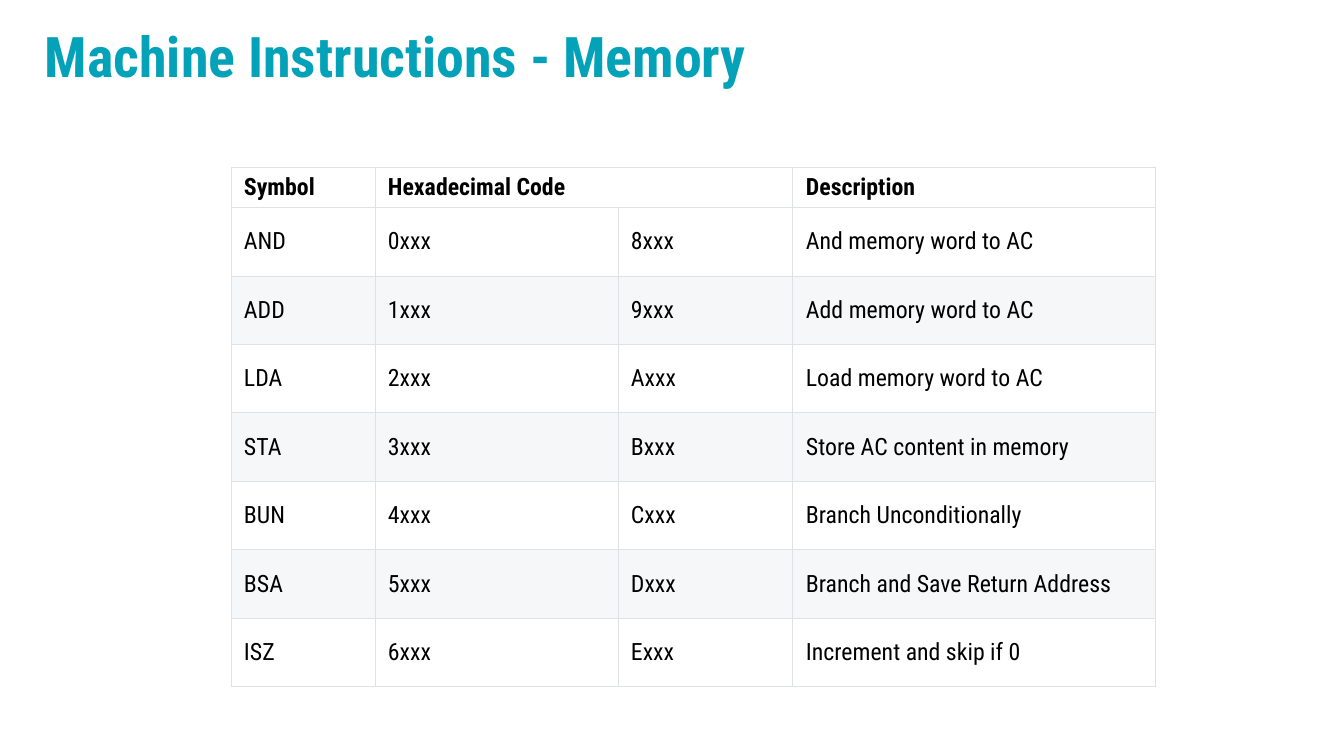
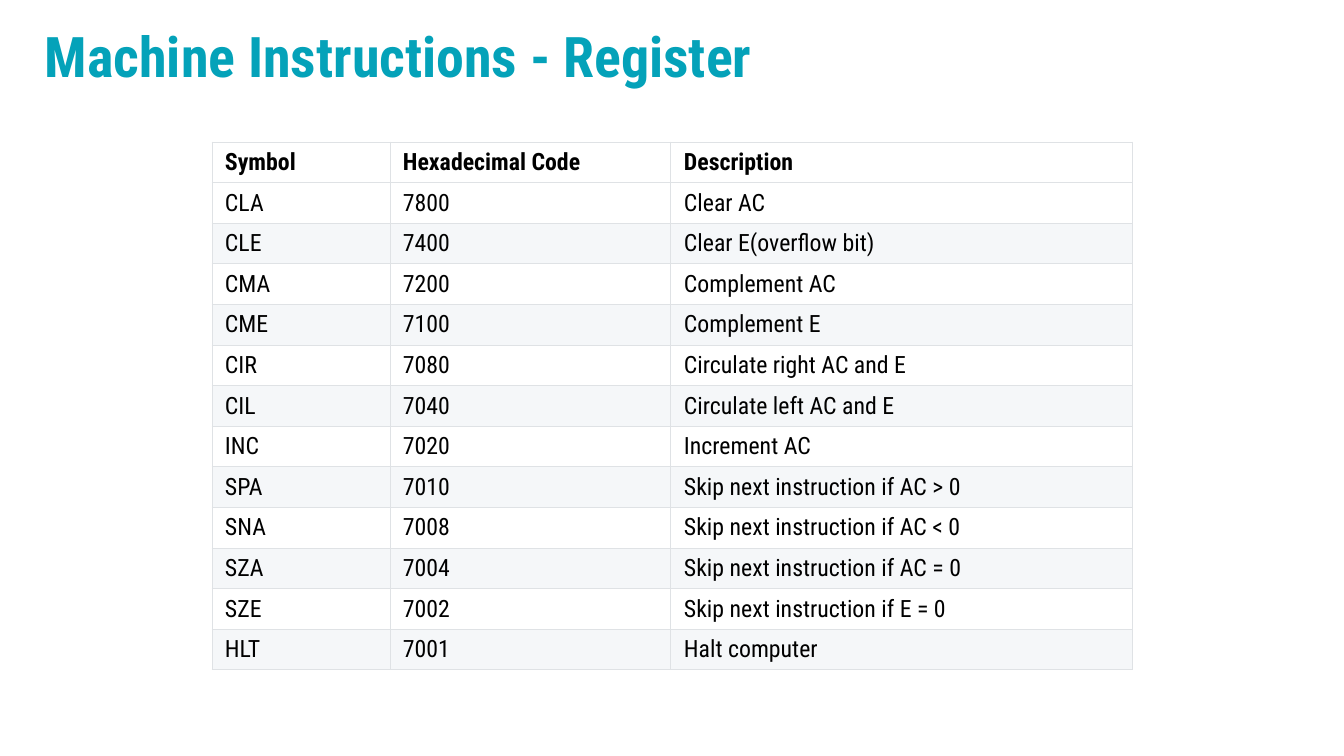
from lxml import etree
from pptx import Presentation
from pptx import util as u
from pptx.dml.color import RGBColor
from pptx.enum import text
from pptx.oxml import ns

TEAL = RGBColor(0x04, 0xA2, 0xB9)
BLACK = RGBColor(0x00, 0x00, 0x00)
WHITE = RGBColor(0xFF, 0xFF, 0xFF)
STRIPE = RGBColor(0xF5, 0xF7, 0xF9)
GRID = RGBColor(0xDF, 0xE2, 0xE5)

FONT = "Roboto Condensed"
PX_PER_INCH = 100.8
HEADER_HEIGHT = 40
BODY_HEIGHT = 479

MEMORY_ROWS = [
    ("Symbol", "Hexadecimal Code", "", "Description"),
    ("AND", "0xxx", "8xxx", "And memory word to AC"),
    ("ADD", "1xxx", "9xxx", "Add memory word to AC"),
    ("LDA", "2xxx", "Axxx", "Load memory word to AC"),
    ("STA", "3xxx", "Bxxx", "Store AC content in memory"),
    ("BUN", "4xxx", "Cxxx", "Branch Unconditionally"),
    ("BSA", "5xxx", "Dxxx", "Branch and Save Return Address"),
    ("ISZ", "6xxx", "Exxx", "Increment and skip if 0"),
]

REGISTER_ROWS = [
    ("Symbol", "Hexadecimal Code", "Description"),
    ("CLA", "7800", "Clear AC"),
    ("CLE", "7400", "Clear E(overflow bit)"),
    ("CMA", "7200", "Complement AC"),
    ("CME", "7100", "Complement E"),
    ("CIR", "7080", "Circulate right AC and E"),
    ("CIL", "7040", "Circulate left AC and E"),
    ("INC", "7020", "Increment AC"),
    ("SPA", "7010", "Skip next instruction if AC > 0"),
    ("SNA", "7008", "Skip next instruction if AC < 0"),
    ("SZA", "7004", "Skip next instruction if AC = 0"),
    ("SZE", "7002", "Skip next instruction if E = 0"),
    ("HLT", "7001", "Halt computer"),
]


def px(length):
    """Turn pixels into EMU."""
    return u.Emu(round(length * u.Inches(1) / PX_PER_INCH))


class InstructionDeck:
    def __init__(self):
        self.deck = Presentation()
        self.deck.slide_width = px(1344)
        self.deck.slide_height = px(756)
        self.slide = None

    def start_slide(self, title):
        self.slide = self.deck.slides.add_slide(self.deck.slide_layouts[6])
        background = self.slide.background.fill
        background.solid()
        background.fore_color.rgb = WHITE
        self.title(title)

    def format_runs(self, para, size, color, bold):
        for span in para.runs:
            span.font.name = FONT
            span.font.size = u.Pt(size)
            span.font.bold = bold
            span.font.color.rgb = color

    def title(self, wording):
        box = self.slide.shapes.add_textbox(px(35), px(14), px(1018), px(90))
        frame = box.text_frame
        frame.word_wrap = True
        frame.vertical_anchor = text.MSO_ANCHOR.MIDDLE
        frame.text = wording
        para = frame.paragraphs[0]
        para.line_spacing = 0.9
        self.format_runs(para, 40, TEAL, True)

    def table(self, left, top, widths, rows):
        """Add a striped table; an empty heading joins the one to its left."""
        frame = self.slide.shapes.add_table(
            len(rows), len(widths), px(left), px(top),
            px(sum(widths)), px(HEADER_HEIGHT + BODY_HEIGHT))
        table = frame.table
        table.first_row = table.horz_banding = False
        for column, width in zip(table.columns, widths):
            column.width = px(width)
        for index, row in enumerate(table.rows):
            row.height = px(BODY_HEIGHT / (len(rows) - 1) if index else HEADER_HEIGHT)
        for index, heading in enumerate(rows[0]):
            if not heading:
                table.cell(0, index - 1).merge(table.cell(0, index))
        for row_index, values in enumerate(rows):
            striped = row_index > 0 and row_index % 2 == 0
            for column_index, value in enumerate(values):
                self.cell(table.cell(row_index, column_index), value,
                          STRIPE if striped else WHITE, row_index == 0)

    def cell(self, cell, value, fill, bold):
        cell.text = value
        cell.vertical_anchor = text.MSO_ANCHOR.MIDDLE
        cell.margin_left = cell.margin_right = px(13)
        cell.margin_top = cell.margin_bottom = px(6)
        cell.fill.solid()
        cell.fill.fore_color.rgb = fill
        self.format_runs(cell.text_frame.paragraphs[0], 17, BLACK, bold)
        self.borders(cell)

    def borders(self, cell):
        properties = cell._tc.get_or_add_tcPr()
        for index, side in enumerate("LRTB"):
            line = etree.Element(ns.qn(f"a:ln{side}"), w=str(u.Pt(0.75)))
            fill = etree.SubElement(line, ns.qn("a:solidFill"))
            etree.SubElement(fill, ns.qn("a:srgbClr"), val=str(GRID))
            properties.insert(index, line)


def main():
    slides = InstructionDeck()

    slides.start_slide("Machine Instructions - Memory")
    slides.table(231, 167, [144, 243, 175, 363], MEMORY_ROWS)

    slides.start_slide("Machine Instructions - Register")
    slides.table(212, 142, [178, 281, 462], REGISTER_ROWS)

    slides.deck.save("out.pptx")


if __name__ == "__main__":
    main()
